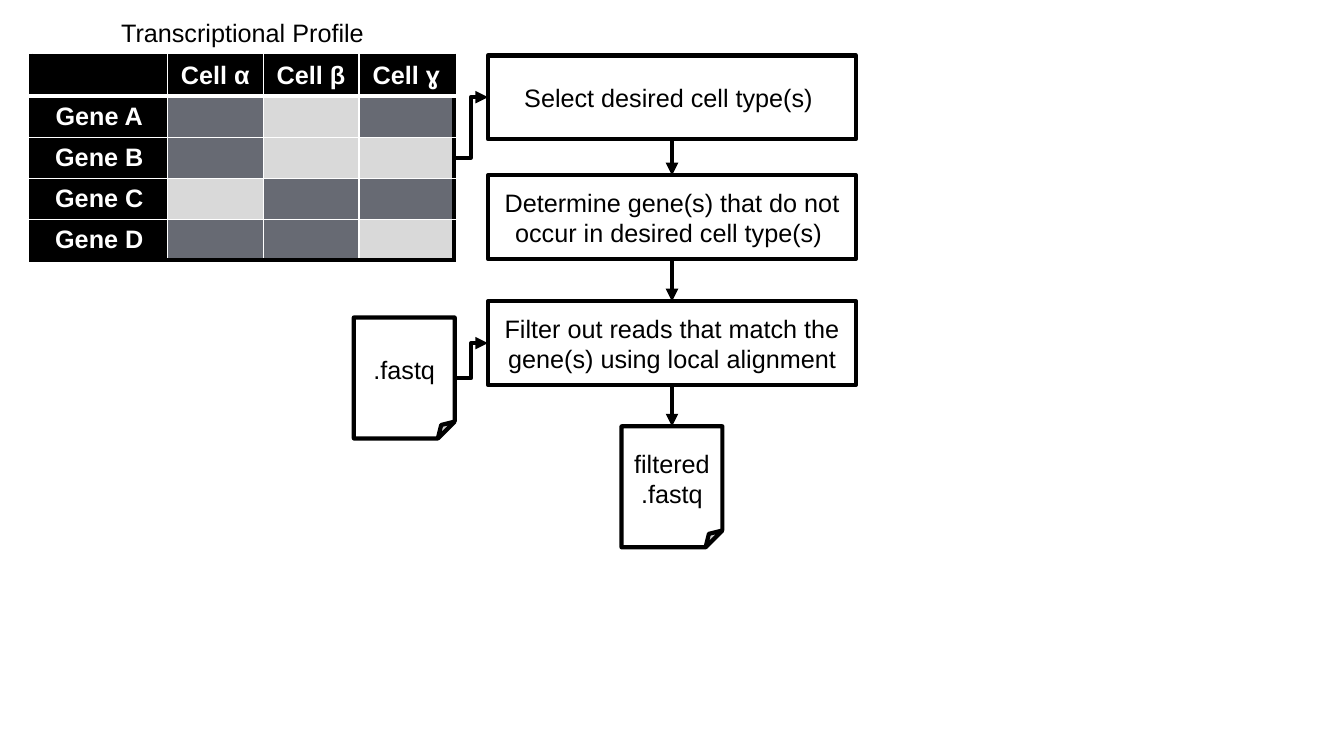
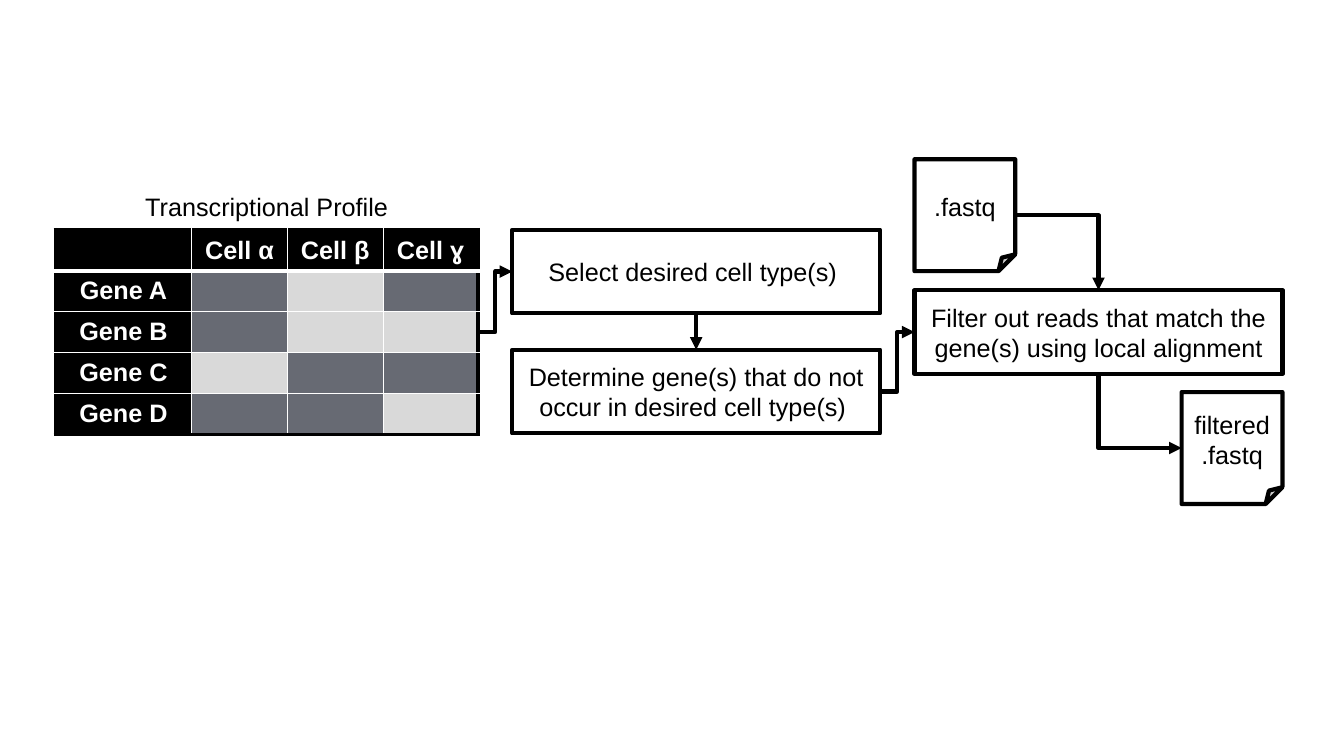
from lxml import etree
from pptx import Presentation
from pptx.dml.color import RGBColor
from pptx.enum import shapes, text
from pptx.oxml.ns import qn
from pptx.util import Inches, Pt

BLACK = RGBColor(0x00, 0x00, 0x00)
WHITE = RGBColor(0xFF, 0xFF, 0xFF)
EXPRESSED = RGBColor(0x67, 0x6A, 0x73)
ABSENT = RGBColor(0xD9, 0xD9, 0xD9)

FONT, FONT_SIZE = "Arial", 18
THICK, THIN = 3, 1
SLIDE_SIZE = (13.33, 7.5)

CAPTION = "Transcriptional Profile"
CELLS = ["Cell α", "Cell β", "Cell ɣ"]
GENES = [
    ("Gene A", (1, 0, 1)),
    ("Gene B", (1, 0, 0)),
    ("Gene C", (0, 1, 1)),
    ("Gene D", (1, 1, 0)),
]
SELECT = "Select desired cell type(s) "
DETERMINE = "Determine gene(s) that do not occur in desired cell type(s) "
FILTER = "Filter out reads that match the gene(s) using local alignment"
READS = ".fastq"
FILTERED = "filtered.fastq"

COLUMNS = (1.35, 0.95, 0.95, 0.94)
ROW = 2.03 / 5
TABLE_WIDTH, TABLE_HEIGHT = sum(COLUMNS), 2.03
STEP_WIDTH, STEP_HEIGHT = 3.65, 0.83
GAP = 0.34
FILE_WIDTH = 1
CAPTION_WIDTH, CAPTION_HEIGHT = 2.63, 0.4
TOP, LEFT, BOTTOM, RIGHT = range(4)


def style_text(paragraph, color=BLACK, bold=False):
    paragraph.alignment = text.PP_ALIGN.CENTER
    font = paragraph.font
    font.name, font.size, font.bold = FONT, Pt(FONT_SIZE), bold
    font.color.rgb = color


def add_border(cell, side, color, width):
    properties = cell._tc.get_or_add_tcPr()
    line = etree.SubElement(properties, qn("a:ln" + side), w=str(Pt(width)))
    fill = etree.SubElement(line, qn("a:solidFill"))
    etree.SubElement(fill, qn("a:srgbClr"), val=str(color))


def add_node(slide, kind, label, left, top, width, height):
    node = slide.shapes.add_shape(kind, *map(Inches, (left, top, width, height)))
    node.shadow.inherit = False
    node.fill.solid()
    node.fill.fore_color.rgb = WHITE
    node.line.color.rgb = BLACK
    node.line.width = Pt(THICK)
    frame = node.text_frame
    frame.word_wrap = True
    frame.vertical_anchor = text.MSO_ANCHOR.MIDDLE
    frame.text = label
    style_text(frame.paragraphs[0])
    return node


def add_step(slide, label, left, top):
    return add_node(slide, shapes.MSO_SHAPE.RECTANGLE, label, left, top, STEP_WIDTH, STEP_HEIGHT)


def add_file(slide, label, left, top, height):
    return add_node(slide, shapes.MSO_SHAPE.FOLDED_CORNER, label, left, top, FILE_WIDTH, height)


def site(shape, side):
    middle, center = shape.left + shape.width // 2, shape.top + shape.height // 2
    return {
        TOP: (middle, shape.top),
        LEFT: (shape.left, center),
        BOTTOM: (middle, shape.top + shape.height),
        RIGHT: (shape.left + shape.width, center),
    }[side]


def add_arrow(slide, source, source_side, target, target_side):
    start, end = site(source, source_side), site(target, target_side)
    straight = source_side == BOTTOM and target_side == TOP
    kind = shapes.MSO_CONNECTOR.STRAIGHT if straight else shapes.MSO_CONNECTOR.ELBOW
    arrow = slide.shapes.add_connector(kind, *start, *end)
    arrow.line.color.rgb = BLACK
    arrow.line.width = Pt(THICK)
    etree.SubElement(arrow.line._get_or_add_ln(), qn("a:tailEnd"), type="triangle")
    properties = arrow._element.spPr
    etree.SubElement(properties, qn("a:effectLst"))
    if not source.has_table:
        arrow.begin_connect(source, source_side)
    arrow.end_connect(target, target_side)
    if (source_side, target_side) in ((RIGHT, TOP), (BOTTOM, LEFT)):
        properties.find(qn("a:prstGeom")).set("prst", "bentConnector2")
    if (source_side, target_side) == (BOTTOM, LEFT):
        width, height = arrow.width, arrow.height
        shift = (width - height) // 2
        arrow.left, arrow.top = arrow.left + shift, arrow.top - shift
        arrow.width, arrow.height = height, width
        transform = properties.find(qn("a:xfrm"))
        transform.set("rot", str(270 * 60000))
        transform.set("flipH", "1")


def add_table(slide, left, top):
    rows, columns = len(GENES) + 1, len(COLUMNS)
    frame = slide.shapes.add_table(
        rows, columns, *map(Inches, (left, top, TABLE_WIDTH, TABLE_HEIGHT)))
    table = frame.table
    table.first_row = table.horz_banding = False
    for column, width in zip(table.columns, COLUMNS):
        column.width = Inches(width)
    labels = [["", *CELLS]] + [[gene, "", "", ""] for gene, _ in GENES]
    for r, row in enumerate(table.rows):
        row.height = Inches(ROW)
        for c, cell in enumerate(row.cells):
            outer = {"L": c == 0, "R": c == columns - 1, "T": r == 0, "B": r == rows - 1}
            for side, is_outer in outer.items():
                thick = is_outer or (side == "B" and r == 0)
                add_border(cell, side, BLACK if is_outer else WHITE, THICK if thick else THIN)
            heading = r == 0 or c == 0
            cell.fill.solid()
            cell.fill.fore_color.rgb = (
                BLACK if heading else EXPRESSED if GENES[r - 1][1][c - 1] else ABSENT)
            cell.vertical_anchor = text.MSO_ANCHOR.MIDDLE
            cell.text = labels[r][c]
            style_text(cell.text_frame.paragraphs[0], WHITE, True)
    return frame


def add_profile(slide, left, top):
    table = add_table(slide, left, top)
    caption = slide.shapes.add_textbox(*map(Inches, (
        left + (TABLE_WIDTH - CAPTION_WIDTH) / 2, top - 0.43, CAPTION_WIDTH, CAPTION_HEIGHT)))
    caption.text_frame.word_wrap = False
    caption.text_frame.text = CAPTION
    style_text(caption.text_frame.paragraphs[0])
    step_left = left + TABLE_WIDTH + GAP
    select = add_step(slide, SELECT, step_left, top)
    determine = add_step(slide, DETERMINE, step_left, top + TABLE_HEIGHT - STEP_HEIGHT - 0.01)
    add_arrow(slide, table, RIGHT, select, LEFT)
    add_arrow(slide, select, BOTTOM, determine, TOP)
    return determine


def add_vertical_flow(slide):
    left, top, file_height = 0.31, 0.55, 1.2
    step_left = left + TABLE_WIDTH + GAP
    determine = add_profile(slide, left, top)
    reads = add_file(slide, READS, step_left - GAP + 0.01 - FILE_WIDTH, 3.15, file_height)
    matching = add_step(slide, FILTER, step_left, 2.99)
    filtered = add_file(
        slide, FILTERED, step_left + (STEP_WIDTH - FILE_WIDTH) / 2, 4.23, file_height)
    add_arrow(slide, determine, BOTTOM, matching, TOP)
    add_arrow(slide, reads, RIGHT, matching, LEFT)
    add_arrow(slide, matching, BOTTOM, filtered, TOP)


def add_horizontal_flow(slide):
    left, top, file_height = 0.55, 2.28, 1.11
    step_left = left + TABLE_WIDTH + STEP_WIDTH + 2 * GAP
    determine = add_profile(slide, left, top)
    reads = add_file(slide, READS, step_left, 1.58, file_height)
    matching = add_step(slide, FILTER, step_left, 2.88)
    filtered = add_file(
        slide, FILTERED, step_left + STEP_WIDTH - FILE_WIDTH, 3.89, file_height)
    add_arrow(slide, determine, RIGHT, matching, LEFT)
    add_arrow(slide, reads, RIGHT, matching, TOP)
    add_arrow(slide, matching, BOTTOM, filtered, LEFT)


presentation = Presentation()
presentation.slide_width, presentation.slide_height = map(Inches, SLIDE_SIZE)
for add_flow in (add_vertical_flow, add_horizontal_flow):
    add_flow(presentation.slides.add_slide(presentation.slide_layouts[6]))
presentation.save("out.pptx")
